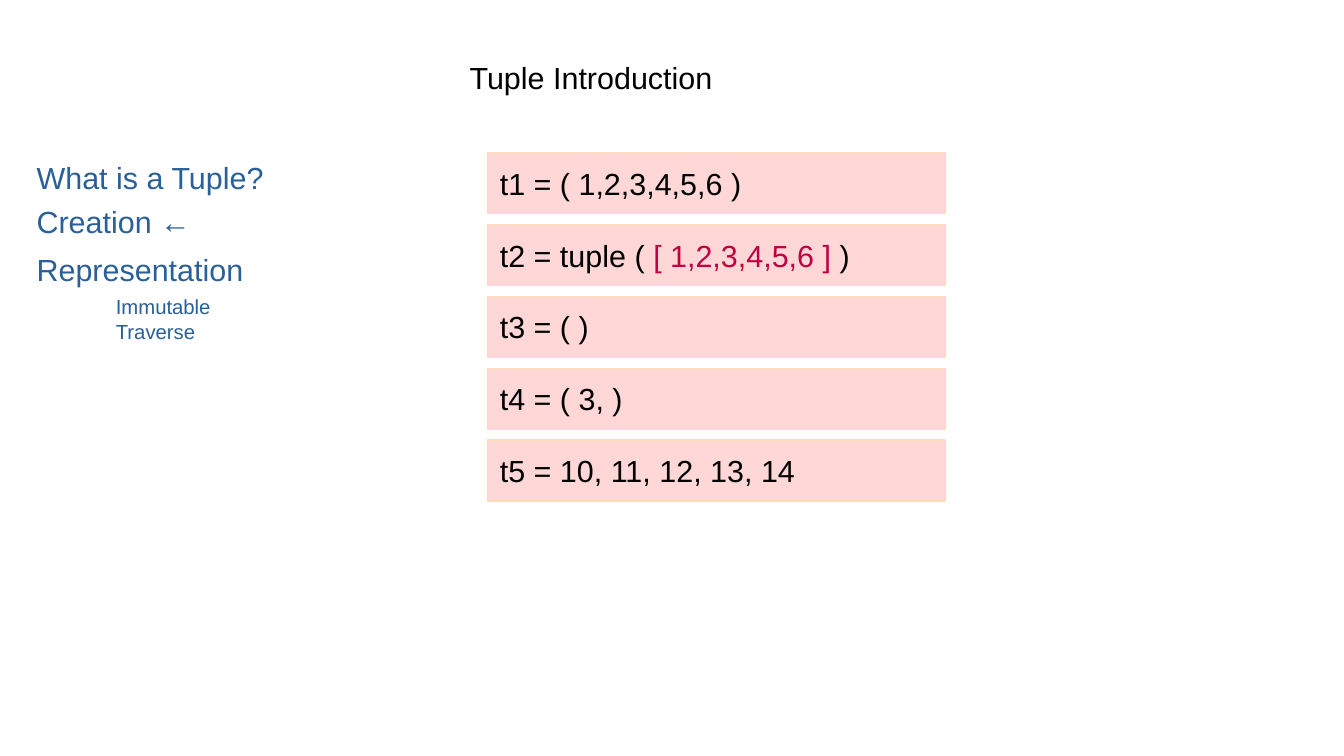
from dataclasses import dataclass

import pptx
import pptx.dml.color
import pptx.enum.shapes
import pptx.enum.text
import pptx.oxml.ns
import pptx.shapes.base
import pptx.slide
import pptx.text.text
import pptx.util
from lxml import etree

Pt = pptx.util.Pt
RGBColor = pptx.dml.color.RGBColor
PP_ALIGN = pptx.enum.text.PP_ALIGN
MSO_ANCHOR = pptx.enum.text.MSO_ANCHOR

BLACK = RGBColor(0x00, 0x00, 0x00)
BLUE = RGBColor(0x2A, 0x60, 0x99)
CRIMSON = RGBColor(0xBF, 0x00, 0x41)
PINK = RGBColor(0xFF, 0xD7, 0xD7)
PEACH = RGBColor(0xFF, 0xDB, 0xB6)

FONT = "Arial"
CODE_LEFT, CODE_TOP = 288, 90
CODE_WIDTH, CODE_HEIGHT = 270, 36
CODE_PITCH = 42.48
SUBTOPIC_INDENT = 46.8


@dataclass(frozen=True)
class Topic:
    text: str
    size: float = 18
    level: int = 0
    space_before: float = 0


@dataclass(frozen=True)
class Piece:
    text: str
    color: RGBColor = BLACK


TOPICS = [
    Topic("What is a Tuple?"),
    Topic("Creation ←", space_before=4.5),
    Topic("Representation", space_before=7),
    Topic("Immutable", size=12, level=1, space_before=3.8),
    Topic("Traverse", size=12, level=1, space_before=0.6),
]

CODE_LINES = [
    [Piece("t1 = ( 1,2,3,4,5,6 )")],
    [Piece("t2 = tuple ( "), Piece("[ 1,2,3,4,5,6 ]", CRIMSON), Piece(" )")],
    [Piece("t3 = ( )")],
    [Piece("t4 = ( 3, )")],
    [Piece("t5 = 10, 11, 12, 13, 14")],
]


def add_run(paragraph: pptx.text.text._Paragraph, text: str, size: float, color: RGBColor) -> None:
    run = paragraph.add_run()
    run.text = text
    run.font.name = FONT
    run.font.size = Pt(size)
    run.font.color.rgb = color


def place(shape: pptx.shapes.base.BaseShape, left: float, top: float, width: float, height: float) -> None:
    shape.left, shape.top = Pt(left), Pt(top)
    shape.width, shape.height = Pt(width), Pt(height)


def format_frame(frame: pptx.text.text.TextFrame, anchor: MSO_ANCHOR) -> None:
    frame.margin_left = frame.margin_right = Pt(7.2)
    frame.margin_top = frame.margin_bottom = Pt(3.6)
    frame.vertical_anchor = anchor
    frame.auto_size = pptx.enum.text.MSO_AUTO_SIZE.NONE
    frame.word_wrap = True


def add_title(slide: pptx.slide.Slide) -> None:
    title = slide.shapes.title
    place(title, 270, 31, 180, 27.4)
    format_frame(title.text_frame, MSO_ANCHOR.TOP)
    paragraph = title.text_frame.paragraphs[0]
    paragraph.alignment = PP_ALIGN.LEFT
    add_run(paragraph, "Tuple Introduction", 18, BLACK)


def add_topics(slide: pptx.slide.Slide) -> None:
    body = slide.placeholders[1]
    place(body, 14.4, 90, 170, 114)
    frame = body.text_frame
    format_frame(frame, MSO_ANCHOR.TOP)
    for index, topic in enumerate(TOPICS):
        paragraph = frame.add_paragraph() if index else frame.paragraphs[0]
        paragraph.level = topic.level
        properties = paragraph._p.get_or_add_pPr()
        properties.set("marL", str(Pt(SUBTOPIC_INDENT * topic.level)))
        properties.set("indent", "0")
        etree.SubElement(properties, pptx.oxml.ns.qn("a:buNone"))
        paragraph.alignment = PP_ALIGN.LEFT
        paragraph.space_before = Pt(topic.space_before)
        add_run(paragraph, topic.text, topic.size, BLUE)


def add_code_box(slide: pptx.slide.Slide, row: int, pieces: list[Piece]) -> None:
    box = slide.shapes.add_shape(
        pptx.enum.shapes.MSO_SHAPE.RECTANGLE,
        Pt(CODE_LEFT), Pt(CODE_TOP + row * CODE_PITCH), Pt(CODE_WIDTH), Pt(CODE_HEIGHT),
    )
    box.shadow.inherit = False
    box.fill.solid()
    box.fill.fore_color.rgb = PINK
    box.line.color.rgb = PEACH
    box.line.width = Pt(0)
    format_frame(box.text_frame, MSO_ANCHOR.MIDDLE)
    paragraph = box.text_frame.paragraphs[0]
    paragraph.alignment = PP_ALIGN.JUSTIFY
    for piece in pieces:
        add_run(paragraph, piece.text, 18, piece.color)


def main() -> None:
    presentation = pptx.Presentation()
    presentation.slide_width = Pt(793.44)
    presentation.slide_height = Pt(446.4)
    slide = presentation.slides.add_slide(presentation.slide_layouts[1])

    # Heading and topic list
    add_title(slide)
    add_topics(slide)

    # Ways to create a tuple
    for row, pieces in enumerate(CODE_LINES):
        add_code_box(slide, row, pieces)

    presentation.save("out.pptx")


if __name__ == "__main__":
    main()
